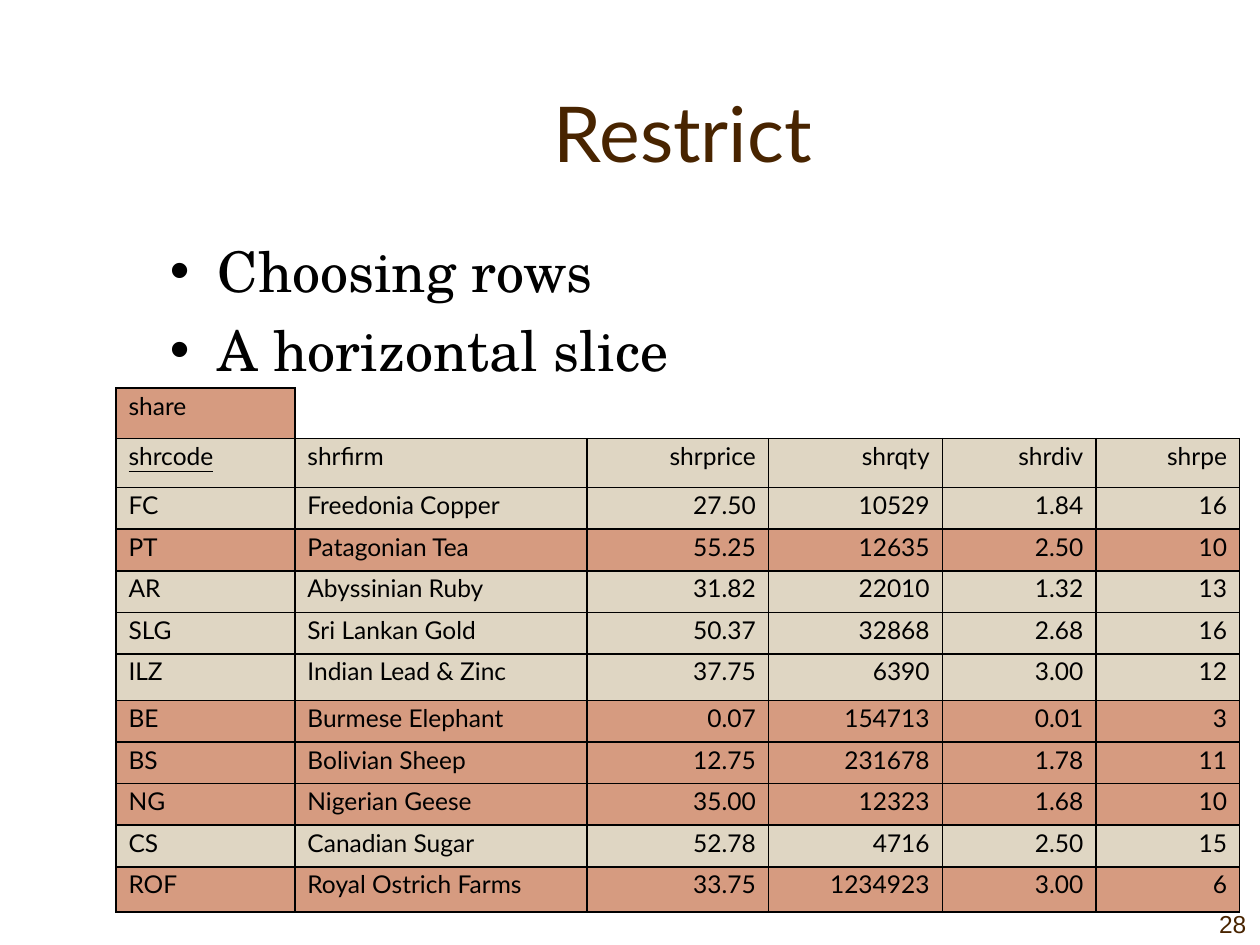
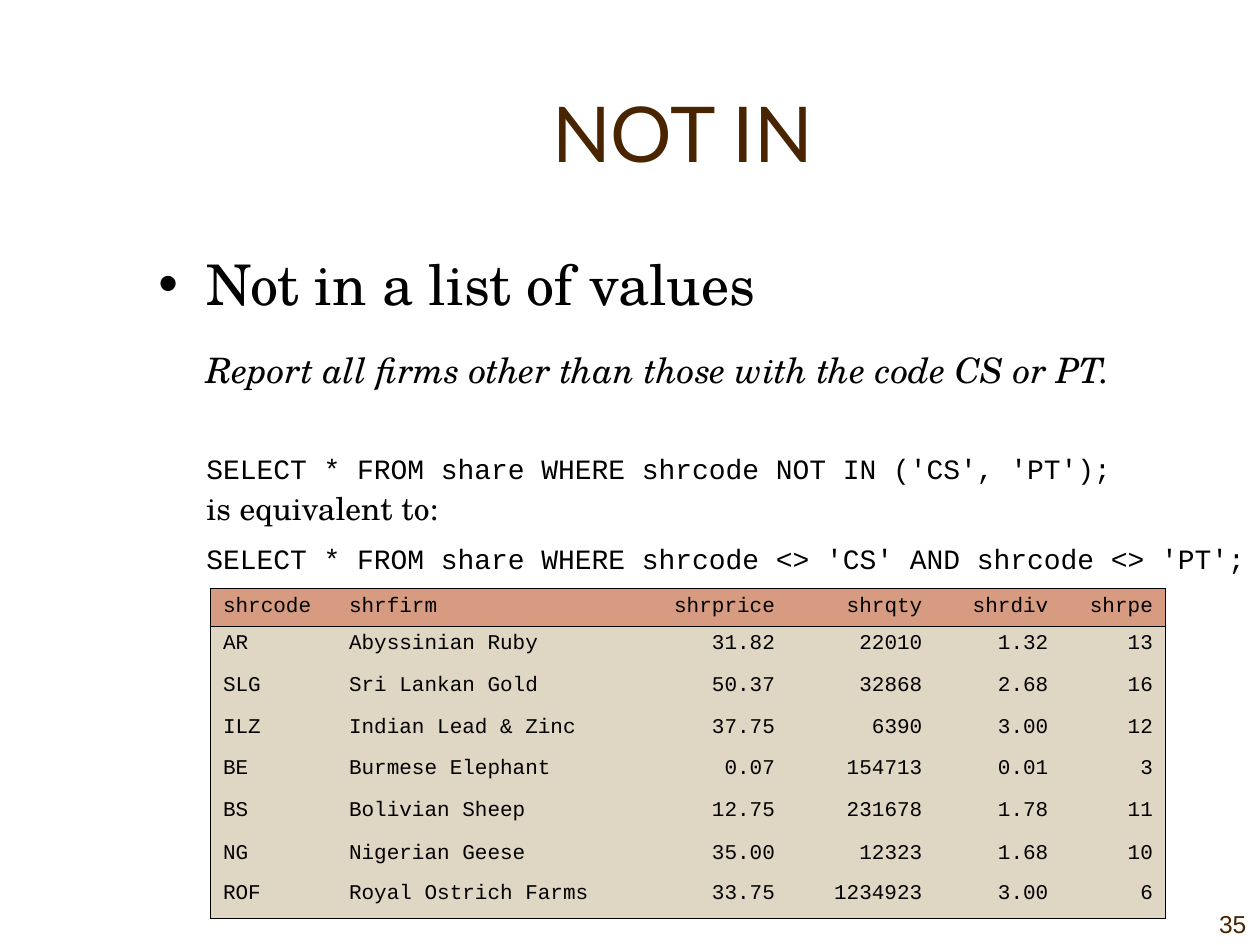
from dataclasses import dataclass
from typing import NamedTuple

from lxml import etree
from pptx import Presentation, util as u
from pptx.dml.color import RGBColor
from pptx.enum import text
from pptx.oxml import ns

PX = 9144  # EMU per px, 100 px to the inch
BROWN = RGBColor(0x48, 0x24, 0x00)
BLACK = RGBColor(0x00, 0x00, 0x00)
TERRACOTTA = RGBColor(0xD6, 0x9B, 0x80)
SAND = RGBColor(0xDF, 0xD6, 0xC3)
TITLE_FONT, BODY_FONT = "Lato", "TeX Gyre Schola"
CODE_FONT, NUMBER_FONT = "Courier New", "Arial"
HANGING = 38
SIDES = "LRTB"


class Box(NamedTuple):
    left: int
    top: int
    width: int
    height: int

    def emu(self) -> list[int]:
        return [side * PX for side in self]


class Share(NamedTuple):
    code: str
    firm: str
    price: str
    qty: str
    div: str
    pe: str


@dataclass
class Line:
    words: str
    size: int = 32
    font: str = BODY_FONT
    before: float = 0
    bullet: bool = False
    italic: bool = False


@dataclass
class Grid:
    left: int
    top: int
    columns: list[int]
    rows: list[int]
    font: str
    size: int
    line_spacing: float = 1.0


TITLE = Box(117, 42, 850, 125)
PAGE_NUMBER = Box(925, 700, 74, 50)
HEADINGS = Share("shrcode", "shrfirm", "shrprice", "shrqty", "shrdiv", "shrpe")
SHARES = [
    Share("FC", "Freedonia Copper", "27.50", "10529", "1.84", "16"),
    Share("PT", "Patagonian Tea", "55.25", "12635", "2.50", "10"),
    Share("AR", "Abyssinian Ruby", "31.82", "22010", "1.32", "13"),
    Share("SLG", "Sri Lankan Gold", "50.37", "32868", "2.68", "16"),
    Share("ILZ", "Indian Lead & Zinc", "37.75", "6390", "3.00", "12"),
    Share("BE", "Burmese Elephant", "0.07", "154713", "0.01", "3"),
    Share("BS", "Bolivian Sheep", "12.75", "231678", "1.78", "11"),
    Share("NG", "Nigerian Geese", "35.00", "12323", "1.68", "10"),
    Share("CS", "Canadian Sugar", "52.78", "4716", "2.50", "15"),
    Share("ROF", "Royal Ostrich Farms", "33.75", "1234923", "3.00", "6"),
]
RESTRICTED = {"PT", "BE", "BS", "NG", "ROF"}
NOT_REPORTED = {"FC", "CS", "PT"}


def style(font, name: str, size: int, color: RGBColor, italic: bool = False) -> None:
    font.name, font.size = name, u.Pt(size)
    font.color.rgb = color
    font.bold, font.italic = False, italic


def add_frame(slide, box: Box, anchor):
    frame = slide.shapes.add_textbox(*box.emu()).text_frame
    frame.word_wrap = True
    frame.vertical_anchor = anchor
    return frame


def add_label(slide, box: Box, words: str, font: str, size: int, anchor, align) -> None:
    frame = add_frame(slide, box, anchor)
    frame.text = words
    paragraph = frame.paragraphs[0]
    paragraph.alignment = align
    style(paragraph.runs[0].font, font, size, BROWN)


def indent(paragraph, bullet: bool) -> None:
    """Align the words on the hanging indent, with or without a bullet."""
    props = paragraph._p.get_or_add_pPr()
    props.set("marL", str(HANGING * PX))
    props.set("indent", str(-HANGING * PX if bullet else 0))
    if bullet:
        etree.SubElement(props, ns.qn("a:buFont")).set("typeface", "Arial")
        etree.SubElement(props, ns.qn("a:buChar")).set("char", "•")
    else:
        etree.SubElement(props, ns.qn("a:buNone"))


def add_body(slide, box: Box, lines: list[Line]) -> None:
    frame = add_frame(slide, box, text.MSO_ANCHOR.TOP)
    frame.margin_right = 0
    for index, line in enumerate(lines):
        paragraph = frame.add_paragraph() if index else frame.paragraphs[0]
        paragraph.text = line.words
        indent(paragraph, line.bullet)
        paragraph.space_before = u.Pt(line.before)
        style(paragraph.runs[0].font, line.font, line.size, BLACK, line.italic)


def set_borders(cell, drawn: str) -> None:
    """Draw the sides named by letters of LRTB and clear the others."""
    props = cell._tc.get_or_add_tcPr()
    for side in SIDES:
        border = etree.SubElement(props, ns.qn(f"a:ln{side}"), w=str(u.Pt(1)))
        if side in drawn:
            fill = etree.SubElement(border, ns.qn("a:solidFill"))
            etree.SubElement(fill, ns.qn("a:srgbClr"), val=str(BLACK))
        else:
            etree.SubElement(border, ns.qn("a:noFill"))


def add_grid(slide, grid: Grid):
    box = Box(grid.left, grid.top, sum(grid.columns), sum(grid.rows))
    table = slide.shapes.add_table(len(grid.rows), len(grid.columns), *box.emu()).table
    table.first_row = table.horz_banding = False
    for column, width in zip(table.columns, grid.columns):
        column.width = width * PX
    for row, height in zip(table.rows, grid.rows):
        row.height = height * PX
    return table


def fill_cell(cell, words: str, grid: Grid, color: RGBColor, borders: str, align=text.PP_ALIGN.LEFT) -> None:
    set_borders(cell, borders)
    cell.fill.solid()
    cell.fill.fore_color.rgb = color
    cell.text_frame.text = words
    paragraph = cell.text_frame.paragraphs[0]
    paragraph.alignment = align
    paragraph.line_spacing = grid.line_spacing
    style(paragraph.runs[0].font, grid.font, grid.size, BLACK)


def fill_row(table, row: int, share: Share, grid: Grid, color: RGBColor, borders: list[str]) -> None:
    """Write one share, firm names to the left and figures to the right."""
    for column, words in enumerate(share):
        align = text.PP_ALIGN.LEFT if column < 2 else text.PP_ALIGN.RIGHT
        fill_cell(table.cell(row, column), words, grid, color, borders[column], align)


def add_slide(deck, title: str, number: int):
    slide = deck.slides.add_slide(deck.slide_layouts[6])
    add_label(slide, PAGE_NUMBER, str(number), NUMBER_FONT, 14,
              text.MSO_ANCHOR.BOTTOM, text.PP_ALIGN.RIGHT)
    add_label(slide, TITLE, title, TITLE_FONT, 44,
              text.MSO_ANCHOR.MIDDLE, text.PP_ALIGN.CENTER)
    return slide


def add_restrict_slide(deck) -> None:
    slide = add_slide(deck, "Restrict", 28)
    add_body(slide, Box(125, 183, 850, 433), [
        Line("Choosing rows", bullet=True),
        Line("A horizontal slice", before=6.4, bullet=True),
    ])
    grid = Grid(92, 308, [142, 232, 144, 138, 122, 114],
                [36, 39, *[33] * 4, 37, *[33] * 4, 36], TITLE_FONT, 14, 0.88)
    table = add_grid(slide, grid)
    fill_cell(table.cell(0, 0), "share", grid, TERRACOTTA, SIDES)
    last = len(grid.columns) - 1
    for column in range(1, last + 1):
        blank = table.cell(0, column)
        set_borders(blank, "LB" if column == 1 else "B")
        blank.fill.background()
    table.cell(0, 1).merge(table.cell(0, last))
    for row, share in enumerate([HEADINGS, *SHARES], start=1):
        color = TERRACOTTA if share.code in RESTRICTED else SAND
        fill_row(table, row, share, grid, color, [SIDES] * len(share))
    key = table.cell(1, 0).text_frame.paragraphs[0].runs[0]
    key.font.underline = True


def add_not_in_slide(deck) -> None:
    slide = add_slide(deck, "NOT IN", 35)
    add_body(slide, Box(116, 193, 884, 450), [
        Line("Not in a list of values", bullet=True),
        Line("Report all firms other than those with the code CS or PT.", 20, before=18, italic=True),
        Line("SELECT * FROM share WHERE shrcode NOT IN ('CS', 'PT');", 16, CODE_FONT, 35),
        Line("is equivalent to:", 18, before=2.4),
        Line("SELECT * FROM share WHERE shrcode <> 'CS' AND shrcode <> 'PT';", 16, CODE_FONT, 8.3),
    ])
    grid = Grid(167, 467, [100, 233, 125, 117, 100, 83],
                [25, *[33] * 4, 34, 32, 34], CODE_FONT, 12)
    table = add_grid(slide, grid)
    reported = [share for share in SHARES if share.code not in NOT_REPORTED]
    inner = len(grid.columns) - 2
    for row, share in enumerate([HEADINGS, *reported]):
        across = {0: "TB", 1: "T", len(reported): "B"}.get(row, "")
        borders = [across + "L", *[across] * inner, across + "R"]
        fill_row(table, row, share, grid, SAND if row else TERRACOTTA, borders)


def main() -> None:
    deck = Presentation()
    deck.slide_width, deck.slide_height = 1000 * PX, 750 * PX
    add_restrict_slide(deck)
    add_not_in_slide(deck)
    deck.save("out.pptx")


if __name__ == "__main__":
    main()
